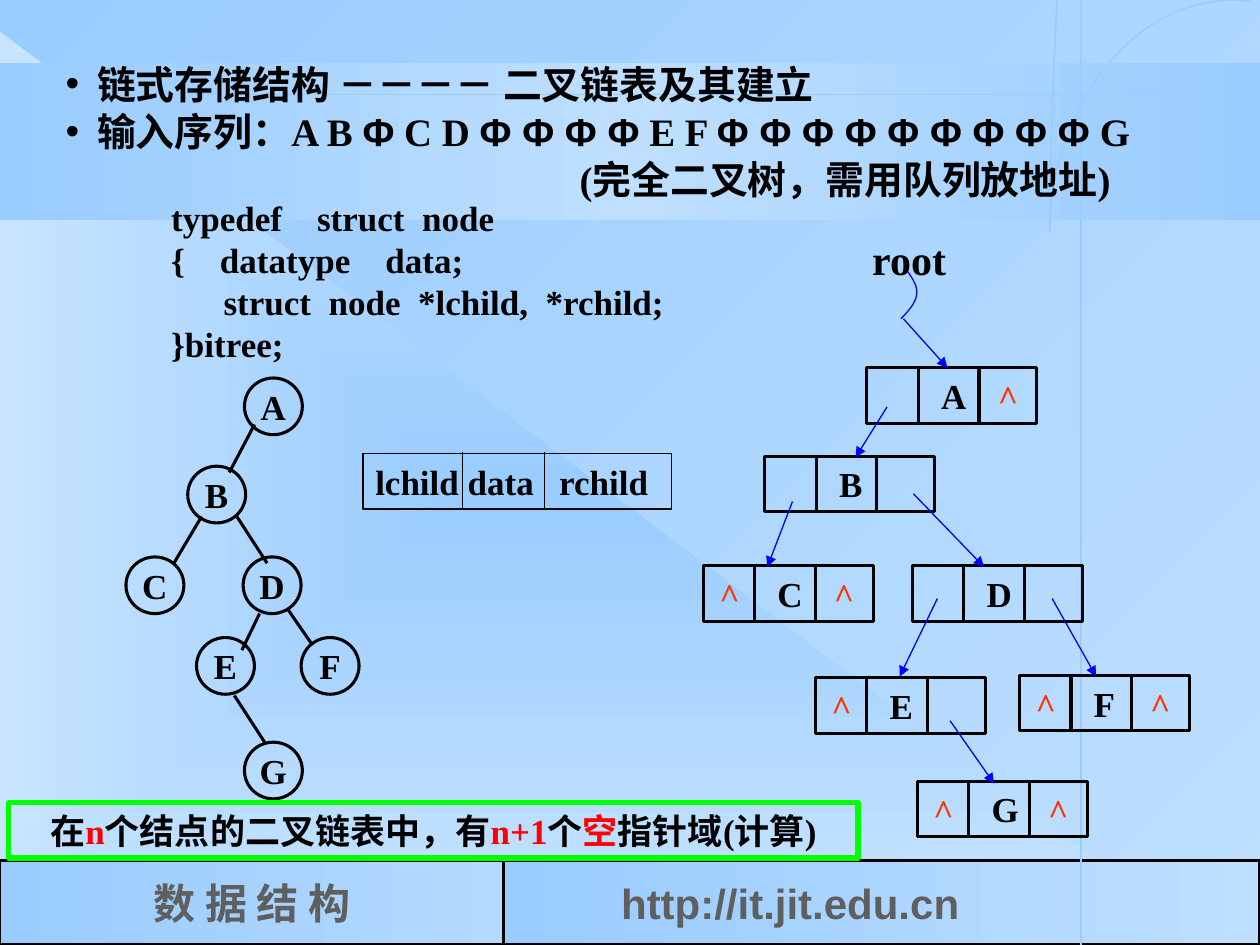
from copy import deepcopy

from lxml.etree import SubElement
from pptx import Presentation
from pptx.dml.color import RGBColor
from pptx.enum.shapes import MSO_CONNECTOR, MSO_SHAPE
from pptx.enum.text import MSO_ANCHOR, MSO_AUTO_SIZE, PP_ALIGN
from pptx.oxml.ns import qn
from pptx.util import Inches, Pt

THEME = {
    "sky": "99CCFF", "pale": "BEDFFF", "mist": "C8E4FF", "haze": "B4D9FF",
    "ink": "000000", "grey": "5F5F5F", "pointer": "0000FF", "null": "FF3300",
    "accent": "FF0000", "frame": "00FF00",
    "serif": "Times New Roman", "sans": "Arial",
    "list": 22.2, "text": 20, "large": 24, "thin": 0.75, "medium": 1.75,
}

presentation = Presentation()
presentation.slide_width, presentation.slide_height = Inches(10), Inches(7.5)
slide = presentation.slides.add_slide(presentation.slide_layouts[1])
shapes = slide.shapes
shapes._spTree.remove(shapes.title._element)

# The grid has 10 columns and 7.5 rows
column = presentation.slide_width / 10
row = presentation.slide_height / 7.5


def color(name):
    return RGBColor.from_string(THEME[name])


def draw_shape(box, kind=None, text="", line=None, width="medium", size="text", ink="ink",
               font="serif", align=PP_ALIGN.LEFT, margin=0.1, wrap=False):
    """Draw a preset shape, or a text box when no kind is given."""
    left, top, across, down = box
    place = [int(left * column), int(top * row), int(across * column), int(down * row)]
    shape = shapes.add_shape(kind, *place) if kind else shapes.add_textbox(*place)
    if kind:
        shape.shadow.inherit = False
    shape.fill.background()
    if line:
        shape.line.color.rgb = color(line)
        shape.line.width = Pt(THEME[width])
    else:
        shape.line.fill.background()
    frame = shape.text_frame
    frame.word_wrap = wrap
    frame.vertical_anchor = MSO_ANCHOR.MIDDLE
    frame.margin_left = int(margin * column)
    frame.text = text
    for paragraph in frame.paragraphs:
        paragraph.alignment = align
        for run in paragraph.runs:
            run.font.name, run.font.size, run.font.bold = THEME[font], Pt(THEME[size]), True
            run.font.color.rgb = color(ink)
    return shape


def draw_line(start, end, ink="ink", width=THEME["medium"], arrow=False):
    connector = shapes.add_connector(
        MSO_CONNECTOR.STRAIGHT, int(start[0] * column), int(start[1] * row),
        int(end[0] * column), int(end[1] * row))
    connector.line.color.rgb = color(ink)
    connector.line.width = Pt(width)
    properties = connector._element.spPr
    if arrow:
        SubElement(properties.find(qn("a:ln")), qn("a:tailEnd"), type="triangle")
    SubElement(properties, qn("a:effectLst"))


# Background and gradient panels
footer = {"kind": MSO_SHAPE.RECTANGLE, "line": "ink", "width": "medium",
          "size": "large", "ink": "grey"}
triangle = draw_shape((0, 0.25, 9.58, 7.25), MSO_SHAPE.RIGHT_TRIANGLE)
band = draw_shape((0, 0.5, 10, 1.25), MSO_SHAPE.RECTANGLE)
course = draw_shape((0, 6.83, 4, 0.67), text="数 据 结 构", align=PP_ALIGN.CENTER, **footer)
address = draw_shape((4, 6.83, 6, 0.67), text="http://it.jit.edu.cn", font="sans",
                     margin=0.93, wrap=True, **footer)
gradients = [(slide.background, "sky", "pale", 315), (triangle, "sky", "mist", 0),
             (band, "sky", "pale", 0), (course, "sky", "haze", 0), (address, "sky", "pale", 0)]
for panel, first, last, angle in gradients:
    panel.fill.gradient()
    panel.fill.gradient_angle = angle
    for stop, name, position in zip(panel.fill.gradient_stops, (first, last), (0, 1)):
        stop.color.rgb = color(name)
        stop.position = position

# The band fades back to its first colour; the triangle fades out from its centre
stops = band._element.spPr.find(qn("a:gradFill")).find(qn("a:gsLst"))
stops.append(deepcopy(stops[0]))
stops[1].set("pos", "50000")
stops[2].set("pos", "100000")
radial = triangle._element.spPr.find(qn("a:gradFill"))
radial.remove(radial.find(qn("a:lin")))
SubElement(SubElement(radial, qn("a:path"), path="rect"), qn("a:fillToRect"),
           l="50000", t="50000", r="50000", b="50000")
draw_line((0, 0.75), (10, 0.75), "sky", 1)
draw_line((8.58, 0), (8.58, 7.5), "sky", 1.5)

# Curves: two background arcs and the tail of the root pointer
curves = [
    ([(9.93, 0.01), (9.05, -0.1), (8.33, 0.82), (8.33, 1.84)], "sky", 1),
    ([(8.33, 1.84), (8.34, 1.2), (8.36, 0.6), (8.39, 0)], "sky", 1),
    ([(7.2, 2.15), (7.3, 2.29), (7.32, 2.36), (7.15, 2.53)], "pointer", THEME["thin"]),
]
for controls, ink, width in curves:
    points = []
    for step in range(25):
        t = step / 24
        weights = ((1 - t) ** 3, 3 * t * (1 - t) ** 2, 3 * t * t * (1 - t), t ** 3)
        x = sum(weight * control[0] for weight, control in zip(weights, controls))
        y = sum(weight * control[1] for weight, control in zip(weights, controls))
        points.append((int(x * column), max(0, int(y * row))))
    builder = shapes.build_freeform(*points[0])
    builder.add_line_segments(points[1:], close=False)
    curve = builder.convert_to_shape()
    curve.shadow.inherit = False
    curve.fill.background()
    curve.line.color.rgb = color(ink)
    curve.line.width = Pt(width)

# Heading list; its runs alternate between the serif and sans fonts
body = slide.placeholders[1]
shapes._spTree.append(body._element)
body.left, body.top = int(-0.58 * column), int(0.5 * row)
body.width, body.height = int(10.25 * column), int(1.44 * row)
body.text_frame.auto_size = MSO_AUTO_SIZE.NONE
items = [
    (["链式存储结构 －－－－ 二叉链表及其建立"], True),
    (["输入序列：A B ", "Φ", " C D ", "Φ Φ Φ Φ", " E F ", "Φ Φ Φ Φ Φ Φ Φ Φ Φ", " G"], True),
    (["(完全二叉树，需用队列放地址)"], False),
]
for index, (pieces, bulleted) in enumerate(items):
    paragraph = body.text_frame.add_paragraph() if index else body.text_frame.paragraphs[0]
    paragraph.level = 2
    paragraph.line_spacing = 0.8
    paragraph.space_before = Pt(6 if index else 0)
    properties = paragraph._p.get_or_add_pPr()
    properties.set("marL", str(int((1.25 if bulleted else 5.08) * column)))
    properties.set("indent", str(int(-0.25 * column) if bulleted else 0))
    if bulleted:
        SubElement(SubElement(properties, qn("a:buClr")), qn("a:srgbClr"), val=THEME["ink"])
        SubElement(properties, qn("a:buChar"), char="•")
    else:
        SubElement(properties, qn("a:buNone"))
    for number, piece in enumerate(pieces):
        run = paragraph.add_run()
        run.text = piece
        run.font.name = THEME["sans" if number % 2 else "serif"]
        run.font.size, run.font.bold = Pt(THEME["list"]), True
        run.font.color.rgb = color("ink")

# Type definition
draw_shape((1.26, 1.51, 4.12, 1.43), text="typedef    struct  node\n{    datatype    data;\n"
           "      struct  node  *lchild,  *rchild;\n}bitree;")

# Node layout: three fields
fields = draw_shape((2.88, 3.6, 2.45, 0.44), MSO_SHAPE.RECTANGLE, "lchild data\trchild",
                    "ink", "thin", wrap=True)
tabs = SubElement(fields.text_frame.paragraphs[0]._p.get_or_add_pPr(), qn("a:tabLst"))
SubElement(tabs, qn("a:tab"), pos=str(int(1.46 * column)), algn="l")
for x in (3.67, 4.32):
    draw_line((x, 3.59), (x, 4.03), width=THEME["thin"])

# Binary tree
circles = {"A": (1.94, 3), "B": (1.49, 3.7), "C": (1, 4.42), "D": (1.93, 4.42),
           "E": (1.56, 5.06), "F": (2.39, 5.06), "G": (1.94, 5.89)}
for label, (x, y) in circles.items():
    draw_shape((x, y, 0.46, 0.45), MSO_SHAPE.OVAL, label, "ink", align=PP_ALIGN.CENTER)
branches = [((2.02, 3.37), (1.82, 3.75)), ((1.6, 4.1), (1.38, 4.47)),
            ((1.88, 4.1), (2.12, 4.47)), ((2.06, 4.87), (1.92, 5.16)),
            ((2.28, 4.83), (2.48, 5.12)), ((1.86, 5.52), (2.1, 5.89))]
for start, end in branches:
    draw_line(start, end)

# Conclusion; every second run is accented
conclusion = draw_shape((0.07, 6.37, 6.74, 0.44), MSO_SHAPE.RECTANGLE, line="frame")
conclusion.line.width = Pt(3)
paragraph = conclusion.text_frame.paragraphs[0]
paragraph.alignment = PP_ALIGN.CENTER
for number, piece in enumerate(["在", "n", "个结点的二叉链表中，有", "n+1", "个", "空", "指针域(计算)"]):
    run = paragraph.add_run()
    run.text = piece
    run.font.name, run.font.size, run.font.bold = THEME["serif"], Pt(THEME["text"]), True
    run.font.color.rgb = color("accent" if number % 2 else "ink")

# Linked nodes, with the offsets of their null pointers
left_null, right_null = 0.03, 0.94
records = [("A", 6.88, 2.92, [right_null]), ("B", 6.07, 3.62, []),
           ("C", 5.58, 4.49, [left_null, right_null]), ("D", 7.24, 4.49, []),
           ("E", 6.47, 5.38, [left_null]), ("F", 8.09, 5.36, [left_null, right_null]),
           ("G", 7.28, 6.2, [left_null, right_null])]
for label, x, y, nulls in records:
    draw_shape((x, y, 1.35, 0.44), MSO_SHAPE.RECTANGLE, label, "ink", margin=0.59, wrap=True)
    for divider in (0.41, 0.89):
        draw_line((x + divider, y), (x + divider, y + 0.44))
    for offset in nulls:
        draw_shape((x + offset, y + 0.01, 0.36, 0.44), text="^", ink="null",
                   align=PP_ALIGN.CENTER)

# Pointers
pointers = [((7.04, 3.23), (6.79, 3.63)), ((6.29, 3.98), (6.09, 4.5)),
            ((7.25, 3.92), (7.81, 4.5)), ((7.44, 4.75), (7.14, 5.37)),
            ((8.35, 4.75), (8.7, 5.37)), ((7.54, 5.72), (7.89, 6.22)),
            ((7.17, 2.53), (7.52, 2.92))]
for start, end in pointers:
    draw_line(start, end, "pointer", THEME["thin"], arrow=True)
draw_shape((6.59, 1.8, 1.25, 0.5), text="root", size="large", align=PP_ALIGN.CENTER, wrap=True)

presentation.save("out.pptx")
